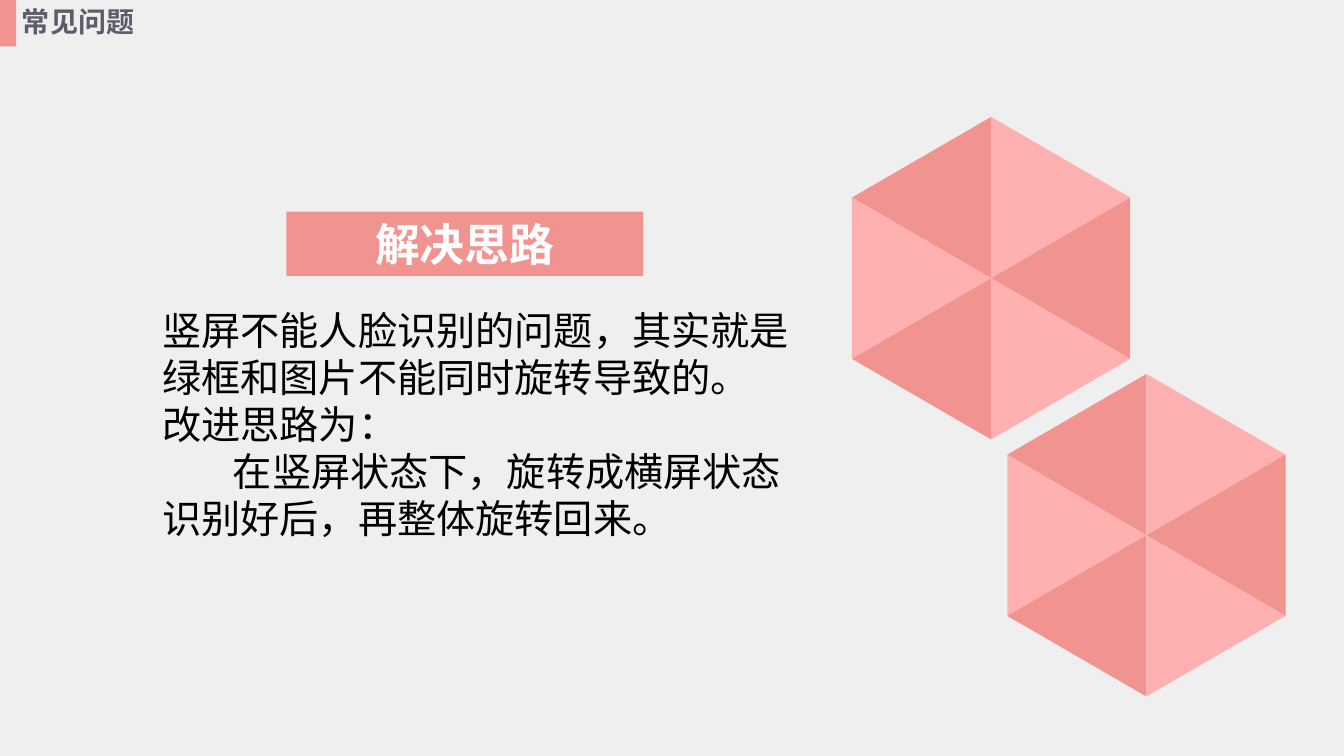
import pptx
import pptx.util
import pptx.dml.color
import pptx.enum.shapes
import pptx.enum.text

Inches = pptx.util.Inches
SHAPE = pptx.enum.shapes.MSO_SHAPE
ALIGN = pptx.enum.text.PP_ALIGN
ANCHOR = pptx.enum.text.MSO_ANCHOR

TITLE = "常见问题"
HEADING = "解决思路"
BODY = [
    ("竖屏不能人脸识别的问题，其实就是绿框和图片不能同时旋转导致的。", 0),
    ("改进思路为：", 0),
    ("在竖屏状态下，旋转成横屏状态识别好后，再整体旋转回来。", 0.7),
]
BACKGROUND, ROSE, PINK = "EFEFEF", "F19490", "FFB1B1"
GREY, WHITE, BLACK = "5C5C6A", "FFFFFF", "000000"
HEXAGON_CENTERS = [(11.37, 5.31), (9.83, 2.76)]
SIDE, HEIGHT = 1.6, 1.38


def rgb(value):
    return pptx.dml.color.RGBColor.from_string(value)


def add_block(slide, kind, left, top, width, height, color, rotation=0):
    sp = slide.shapes.add_shape(kind, Inches(left), Inches(top), Inches(width), Inches(height))
    sp.shadow.inherit = False
    sp.fill.solid()
    sp.fill.fore_color.rgb = rgb(color)
    sp.line.fill.background()
    sp.rotation = rotation
    return sp


def add_box(slide, left, top, width, height):
    return slide.shapes.add_textbox(Inches(left), Inches(top), Inches(width), Inches(height))


def write(sp, lines, size, color, font, bold=False, align=ALIGN.LEFT,
          anchor=ANCHOR.TOP, inset=None):
    tf = sp.text_frame
    tf.word_wrap = True
    tf.vertical_anchor = anchor
    if inset is not None:
        tf.margin_left = tf.margin_right = tf.margin_top = tf.margin_bottom = Inches(inset)
    for i, (text, indent) in enumerate(lines):
        p = tf.add_paragraph() if i else tf.paragraphs[0]
        p.alignment = align
        if indent:
            p._p.get_or_add_pPr().set("indent", str(Inches(indent)))
        r = p.add_run()
        r.text = text
        r.font.size = pptx.util.Pt(size)
        r.font.name = font
        r.font.bold = bold
        r.font.color.rgb = rgb(color)


def add_hexagon(slide, x, y):
    for row in (-1, 0, 1):
        for side in (-1, 1):
            points_right = (side == 1) == (row != 0)
            color, rotation = (PINK, 90) if points_right else (ROSE, 270)
            left = x + side * HEIGHT / 2 - SIDE / 2
            top = y + row * SIDE / 2 - HEIGHT / 2
            add_block(slide, SHAPE.ISOSCELES_TRIANGLE, left, top, SIDE, HEIGHT, color, rotation)


def main():
    prs = pptx.Presentation()
    prs.slide_width, prs.slide_height = Inches(13.33), Inches(7.5)
    s = prs.slides.add_slide(prs.slide_layouts[6])
    s.background.fill.solid()
    s.background.fill.fore_color.rgb = rgb(BACKGROUND)

    add_block(s, SHAPE.RECTANGLE, 0, 0, 0.16, 0.46, ROSE)
    write(add_box(s, 0.12, 0, 2.9, 0.44), [(TITLE, 0)], 20, GREY, "Arial", bold=True)

    for x, y in HEXAGON_CENTERS:
        add_hexagon(s, x, y)

    banner = add_block(s, SHAPE.RECTANGLE, 2.84, 2.1, 3.54, 0.64, ROSE)
    write(banner, [(HEADING, 0)], 32, WHITE, "Times New Roman", bold=True,
          align=ALIGN.CENTER, anchor=ANCHOR.MIDDLE)
    write(add_box(s, 1.61, 3.04, 6.52, 2.36), BODY, 28, BLACK, "Times New Roman", inset=0)

    prs.save("out.pptx")


if __name__ == "__main__":
    main()
